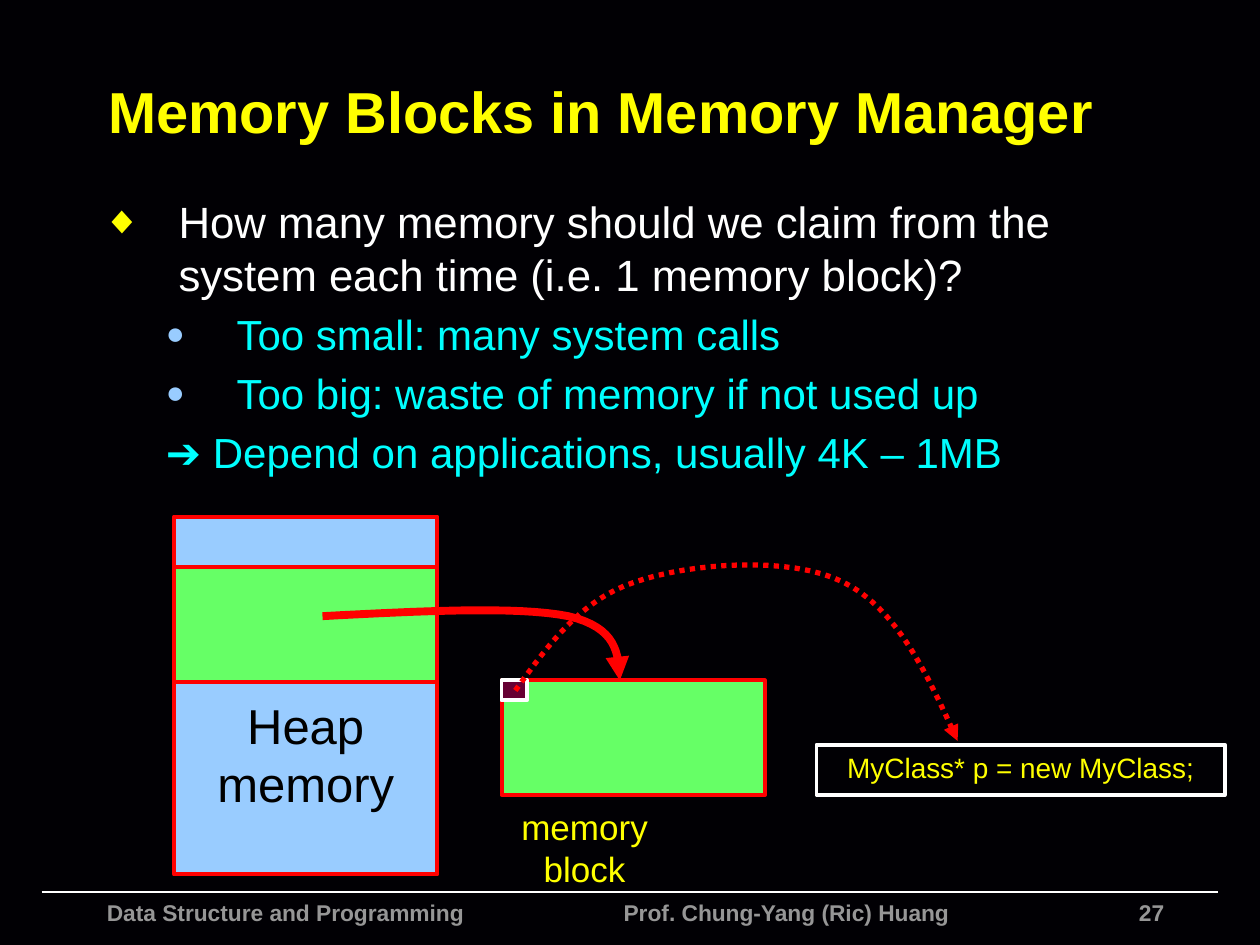
from dataclasses import dataclass

from lxml.etree import SubElement
from pptx import Presentation
from pptx.dml.color import RGBColor
from pptx.enum.dml import MSO_LINE
from pptx.enum.shapes import MSO_CONNECTOR, MSO_SHAPE
from pptx.enum.text import MSO_ANCHOR, PP_ALIGN
from pptx.oxml.ns import qn
from pptx.util import Pt


@dataclass(frozen=True)
class Theme:
    font: str = "Arial"
    back: str = "010004"
    white: str = "FFFFFF"
    black: str = "000000"
    yellow: str = "FFFF00"
    cyan: str = "00FFFF"
    blue: str = "99CCFF"
    green: str = "66FF66"
    red: str = "FF0000"
    plum: str = "660033"
    gray: str = "969696"
    title: int = 33
    body: int = 25
    sub: int = 24
    heap: int = 28
    label: int = 20
    code: int = 16
    footer: int = 13
    border: float = 2.25


T = Theme()


def rgb(color):
    return RGBColor.from_string(color)


def style(p, size, color, bold=False, align=PP_ALIGN.LEFT):
    p.alignment = align
    for r in p.runs:
        r.font.name = T.font
        r.font.size = Pt(size)
        r.font.bold = bold
        r.font.color.rgb = rgb(color)


def set_text(sp, text, size, color, bold=False, align=PP_ALIGN.LEFT,
             anchor=MSO_ANCHOR.TOP, inset=3.6):
    tf = sp.text_frame
    tf.word_wrap = True
    tf.vertical_anchor = anchor
    tf.margin_left = tf.margin_right = Pt(inset)
    tf.margin_top = tf.margin_bottom = Pt(3.6)
    tf.text = text
    for p in tf.paragraphs:
        style(p, size, color, bold, align)
    return tf


def add_text(s, box, text, size, color, **options):
    sp = s.shapes.add_textbox(*map(Pt, box))
    return set_text(sp, text, size, color, **options)


def add_rect(s, box, fill, line):
    sp = s.shapes.add_shape(MSO_SHAPE.RECTANGLE, *map(Pt, box))
    sp.shadow.inherit = False
    if fill:
        sp.fill.solid()
        sp.fill.fore_color.rgb = rgb(fill)
    else:
        sp.fill.background()
    sp.line.color.rgb = rgb(line)
    sp.line.width = Pt(T.border)
    return sp


def bezier(a, b, c, d, steps=16):
    for i in range(1, steps + 1):
        t = i / steps
        u = 1 - t
        yield tuple(u**3 * k + 3 * u * u * t * m + 3 * u * t * t * n + t**3 * o
                    for k, m, n, o in zip(a, b, c, d))


def add_curve(s, x, y, knots, width, dash=None):
    points = [q for i in range(0, len(knots) - 1, 3) for q in bezier(*knots[i:i + 4])]
    start, *rest = [(Pt(x + dx), Pt(y + dy)) for dx, dy in [knots[0], *points]]
    builder = s.shapes.build_freeform(*start)
    builder.add_line_segments(rest, close=False)
    sp = builder.convert_to_shape()
    sp.shadow.inherit = False
    sp.fill.background()
    sp.line.color.rgb = rgb(T.red)
    sp.line.width = Pt(width)
    if dash:
        sp.line.dash_style = dash
    SubElement(sp.line._get_or_add_ln(), qn("a:tailEnd"), type="triangle")


def add_bullet(pPr, char, color, percent):
    SubElement(SubElement(pPr, qn("a:buClr")), qn("a:srgbClr"), val=color)
    SubElement(pPr, qn("a:buSzPct"), val=str(percent * 1000))
    SubElement(pPr, qn("a:buFont"), typeface=T.font)
    SubElement(pPr, qn("a:buChar"), char=char)


def build_title(s, box):
    add_text(s, box, "Memory Blocks in Memory Manager", T.title, T.yellow,
             bold=True, anchor=MSO_ANCHOR.MIDDLE, inset=7.2)


def build_body(s, box):
    main = (T.body, T.white, 43.2, -43.2)
    sub = (T.sub, T.cyan, 76.3, -40.3)
    dot = ("●", T.blue, 75)
    rows = [
        ("How many memory should we claim from the system each time "
         "(i.e. 1 memory block)?", main, ("◆", T.yellow, 90)),
        ("Too small: many system calls", sub, dot),
        ("Too big: waste of memory if not used up", sub, dot),
        ("➔ Depend on applications, usually 4K – 1MB", sub, None),
    ]
    tf = add_text(s, box, "\n".join(row[0] for row in rows), T.body, T.white, inset=7.2)
    for p, (_, (size, color, left, indent), bullet) in zip(tf.paragraphs, rows):
        style(p, size, color)
        p.space_before = Pt(size * 0.2)
        pPr = p._p.get_or_add_pPr()
        pPr.set("marL", str(Pt(left)))
        pPr.set("indent", str(Pt(indent)))
        if bullet:
            add_bullet(pPr, *bullet)


def build_diagram(s, box):
    x, y, w, h = box
    cell_w, cell_h = 150.5, 65.5
    block_x, block_y = x + 187.2, y + 93.6
    code_w, code_h = 233.3, 28.8

    heap = add_rect(s, (x, y, cell_w, h), T.blue, T.red)
    tf = set_text(heap, "Heap\nmemory", T.heap, T.black, align=PP_ALIGN.CENTER)
    tf.margin_top = Pt(102)
    for left, top in ((x, y + 28.8), (block_x, block_y)):
        add_rect(s, (left, top, cell_w, cell_h), T.green, T.red)

    add_curve(s, x, y, [(84.9, 56.9), (140.4, 54), (196.5, 51.1), (225.3, 56.9),
                        (253.4, 63.4), (254.1, 78.5), (254.8, 93.6)], 4.5)
    add_text(s, (block_x + 4.3, y + 161.3, 86.4, 55), "memory block",
             T.label, T.yellow, align=PP_ALIGN.CENTER)
    add_rect(s, (block_x, block_y, 14.4, 11.5), T.plum, T.white)
    code = add_rect(s, (x + w - code_w, y + 130.3, code_w, code_h), None, T.white)
    set_text(code, "MyClass* p = new MyClass;", T.code, T.yellow, align=PP_ALIGN.CENTER)
    add_curve(s, x, y, [(195.1, 99.4), (213.8, 73.4), (232.5, 47.5), (263.5, 37.4),
                        (294.4, 26.6), (352, 22.3), (382.3, 37.4),
                        (413.2, 52.6), (430.5, 90), (447.8, 128.2)],
              3, MSO_LINE.ROUND_DOT)


def build_footer(s, box):
    x, y, w, h = box
    rule = s.shapes.add_connector(MSO_CONNECTOR.STRAIGHT, Pt(x), Pt(y), Pt(x + w), Pt(y))
    rule.line.color.rgb = rgb(T.white)
    rule.line.width = Pt(1)
    SubElement(rule._element.spPr, qn("a:effectLst"))
    parts = [
        (30.2, 260, "Data Structure and Programming", PP_ALIGN.LEFT),
        (325.5, 230, "Prof. Chung-Yang (Ric) Huang", PP_ALIGN.LEFT),
        (588.5, 60, "27", PP_ALIGN.RIGHT),
    ]
    for dx, width, text, align in parts:
        add_text(s, (x + dx, y, width, h), text, T.footer, T.gray,
                 bold=True, align=align, inset=7.2)


def main():
    prs = Presentation()
    prs.slide_width, prs.slide_height = Pt(720), Pt(540)
    s = prs.slides.add_slide(prs.slide_layouts[6])
    s.background.fill.solid()
    s.background.fill.fore_color.rgb = rgb(T.back)
    build_footer(s, (23.8, 509.8, 672.5, 30))
    build_title(s, (54.7, 26.6, 636.5, 72.7))
    build_body(s, (51.8, 108, 612, 372.2))
    build_diagram(s, (99.4, 295.2, 600.5, 204.5))
    prs.save("out.pptx")


if __name__ == "__main__":
    main()
